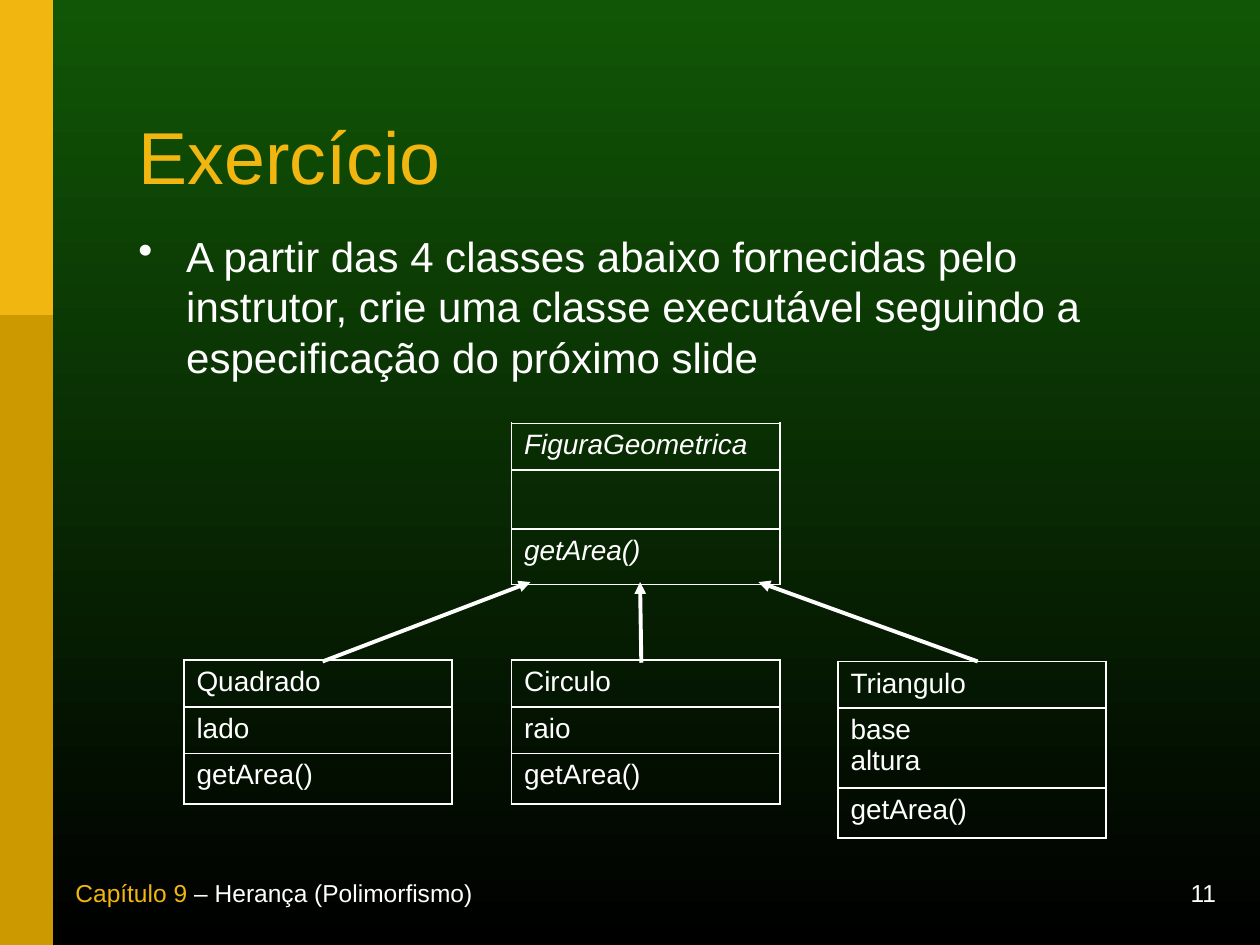
"""Build the exercise slide with its class diagram."""
from lxml import etree
from pptx import Presentation
from pptx.dml.color import RGBColor
from pptx.enum.shapes import MSO_CONNECTOR, MSO_SHAPE
from pptx.enum.text import MSO_ANCHOR, PP_ALIGN
from pptx.oxml.ns import qn
from pptx.util import Inches, Pt

LINE, RECT = MSO_CONNECTOR.STRAIGHT, MSO_SHAPE.RECTANGLE
TOP, MIDDLE, BOTTOM = MSO_ANCHOR.TOP, MSO_ANCHOR.MIDDLE, MSO_ANCHOR.BOTTOM
LEFT, RIGHT = PP_ALIGN.LEFT, PP_ALIGN.RIGHT
WHITE = RGBColor(0xFF, 0xFF, 0xFF)
BLACK = RGBColor(0, 0, 0)
GREEN = RGBColor(0x11, 0x56, 0x06)
GOLD = RGBColor(0xF1, 0xB6, 0x0F)
OCHRE = RGBColor(0xCC, 0x99, 0x00)

BARS = [(7.5, OCHRE), (2.5, GOLD)]
TITLE = [("Exercício", GOLD)]
TASK = [("A partir das 4 classes abaixo fornecidas pelo instrutor, crie uma "
         "classe executável seguindo a especificação do próximo slide", WHITE)]
FOOTER = [("Capítulo 9", GOLD), (" – Herança (Polimorfismo)", WHITE)]
PAGE = [("11", WHITE)]

WIDTH = 2.13
CLASSES = [
    (4.06, 3.36, [0.37, 0.47, 0.44], ["FiguraGeometrica", "", "getArea()"], True),
    (1.46, 5.24, [0.37, 0.37, 0.4], ["Quadrado", "lado", "getArea()"], False),
    (6.65, 5.25, [0.37, 0.63, 0.4], ["Triangulo", "base\naltura", "getArea()"], False),
    (4.06, 5.24, [0.37, 0.37, 0.4], ["Circulo", "raio", "getArea()"], False),
]
ARROWS = [
    (7.76, 5.25, 6.02, 4.62),
    (2.56, 5.25, 4.21, 4.62),
    (5.09, 5.26, 5.08, 4.62),
]


def style(font, **form):
    color = form.pop("color", WHITE)
    for key, val in {"name": "Arial", **form}.items():
        setattr(font, key, val)
    font.color.rgb = color


def write(shape, box, parts, size, anchor=TOP, align=LEFT):
    for key, val in zip(("left", "top", "width", "height"), box):
        setattr(shape, key, Inches(val))
    frame = shape.text_frame
    frame.word_wrap = True
    frame.vertical_anchor = anchor
    para = frame.paragraphs[0]
    para.alignment = align
    for text, color in parts:
        run = para.add_run()
        run.text = text
        style(run.font, size=Pt(size), color=color)
    return para


def add_bar(slide, height, color):
    bar = slide.shapes.add_shape(RECT, 0, 0, Inches(0.42), Inches(height))
    bar.shadow.inherit = False
    bar.fill.solid()
    bar.fill.fore_color.rgb = color
    bar.line.fill.background()


def add_edges(cell):
    props = cell._tc.get_or_add_tcPr()
    for side in ("lnL", "lnR", "lnT", "lnB"):
        edge = etree.SubElement(props, qn(f"a:{side}"), w=str(Pt(1.08)))
        fill = etree.SubElement(edge, qn("a:solidFill"))
        etree.SubElement(fill, qn("a:srgbClr"), val=str(WHITE))


def add_class(slide, left, top, rows, texts, slant):
    frame = slide.shapes.add_table(len(rows), 1, Inches(left), Inches(top),
                                   Inches(WIDTH), Inches(sum(rows)))
    table = frame.table
    table.first_row = table.horz_banding = False
    for row, height, text in zip(table.rows, rows, texts):
        row.height = Inches(height)
        cell = row.cells[0]
        cell.text = text
        for para in cell.text_frame.paragraphs:
            style(para.font, size=Pt(16), italic=slant)
            for run in para.runs:
                style(run.font, size=Pt(16), italic=slant)
        add_edges(cell)
        cell.fill.background()


def add_arrow(slide, ends):
    arrow = slide.shapes.add_connector(LINE, *map(Inches, ends))
    arrow.line.color.rgb = WHITE
    arrow.line.width = Pt(2.25)
    etree.SubElement(arrow.line._get_or_add_ln(), qn("a:tailEnd"), type="triangle")
    etree.SubElement(arrow._element.spPr, qn("a:effectLst"))


def main():
    deck = Presentation()
    deck.slide_width, deck.slide_height = Inches(10), Inches(7.5)
    slide = deck.slides.add_slide(deck.slide_layouts[5])

    back = slide.background.fill
    back.gradient()
    back.gradient_angle = 270
    for stop, color, place in zip(back.gradient_stops, (GREEN, BLACK), (0, 1)):
        stop.color.rgb = color
        stop.position = place

    for height, color in BARS:
        add_bar(slide, height, color)

    def new_box():
        return slide.shapes.add_textbox(0, 0, 0, 0)

    write(new_box(), (7.25, 7, 2.5, 0.25), PAGE, 14, BOTTOM, RIGHT)
    write(new_box(), (0.5, 7, 4.42, 0.25), FOOTER, 14, BOTTOM)
    head = write(slide.shapes.title, (1, 0.64, 8.24, 1.29), TITLE, 42, MIDDLE)
    head.line_spacing = 0.85
    task = write(new_box(), (1, 1.78, 8.1, 1.34), TASK, 24)
    props = task._p.get_or_add_pPr()
    props.set("marL", str(Inches(0.38)))
    props.set("indent", str(Inches(-0.38)))
    etree.SubElement(props, qn("a:buChar"), char="•")

    for item in CLASSES:
        add_class(slide, *item)
    for ends in ARROWS:
        add_arrow(slide, ends)
    deck.save("out.pptx")


if __name__ == "__main__":
    main()
